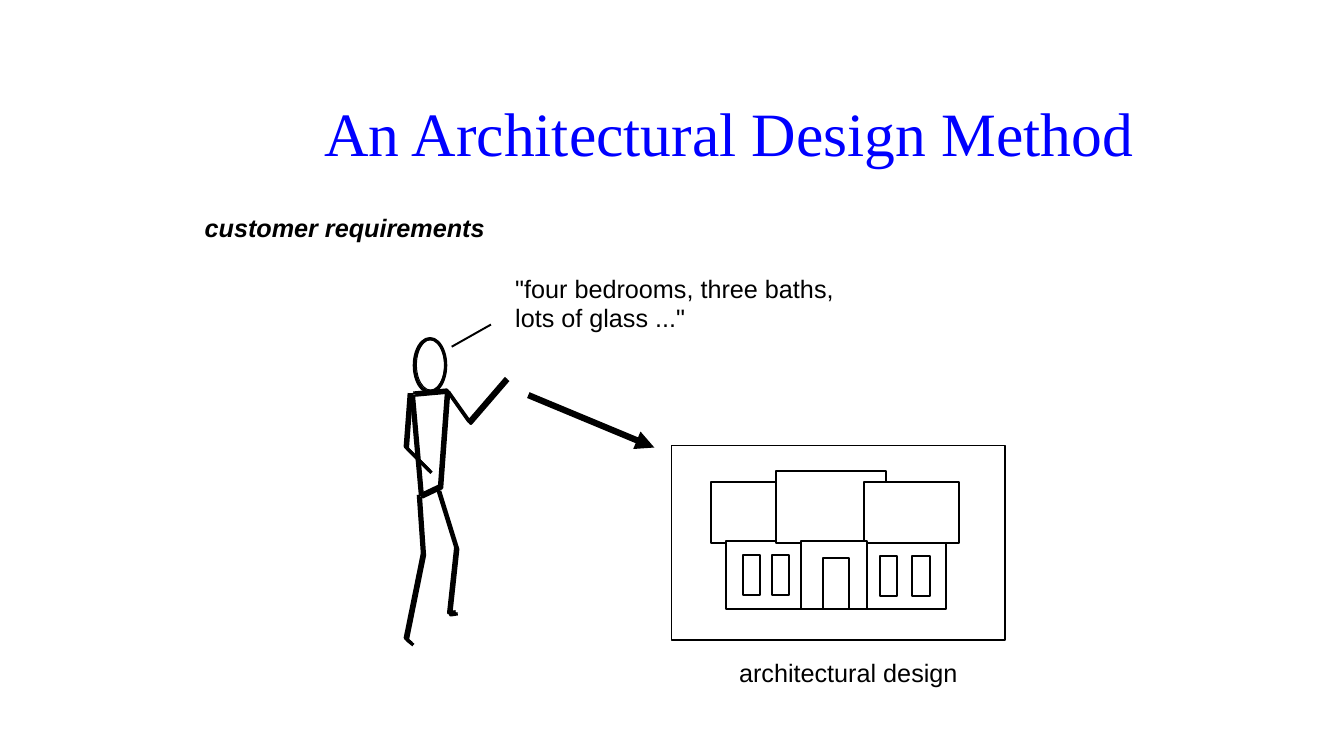
from lxml import etree
from pptx import Presentation
from pptx.dml.color import RGBColor
from pptx.enum import shapes, text
from pptx.oxml import ns
from pptx.util import Inches, Pt

BLACK = RGBColor(0, 0, 0)
WHITE = RGBColor(255, 255, 255)
BLUE = RGBColor(0, 0, 255)
THIN, BOLD, HEAVY = Pt(1.38), Pt(2.38), Pt(4.5)

presentation = Presentation()
presentation.slide_width = Inches(13.33)
presentation.slide_height = Inches(7.5)
slide = presentation.slides.add_slide(presentation.slide_layouts[6])


def style_shape(shape, width, filled):
    shape.shadow.inherit = False
    if filled:
        shape.fill.solid()
        shape.fill.fore_color.rgb = WHITE
    else:
        shape.fill.background()
    shape.line.color.rgb = BLACK
    shape.line.width = width


def add_line(start, end, width):
    line = slide.shapes.add_connector(
        shapes.MSO_CONNECTOR.STRAIGHT, *map(Inches, start + end))
    line.line.color.rgb = BLACK
    line.line.width = width
    etree.SubElement(line._element.spPr, ns.qn("a:effectLst"))
    return line


# Title
title = slide.shapes.add_textbox(
    Inches(1.44), Inches(0.68), Inches(11.59), Inches(1.25))
title.text_frame.word_wrap = True
title.text_frame.vertical_anchor = text.MSO_ANCHOR.MIDDLE
paragraph = title.text_frame.paragraphs[0]
paragraph.alignment = text.PP_ALIGN.CENTER
run = paragraph.add_run()
run.text = "An Architectural Design Method"
run.font.name = "Times New Roman"
run.font.size = Pt(44)
run.font.color.rgb = BLUE

# Labels: left, top, width, wording, emphasis
labels = [
    (5.11, 2.75, 3.19, '"four bedrooms, three baths,', False),
    (5.11, 3.03, 1.7, 'lots of glass ..."', False),
    (2.03, 2.14, 2.8, "customer requirements", True),
    (7.33, 6.56, 2.19, "architectural design", False),
]
for left, top, width, wording, emphasis in labels:
    label = slide.shapes.add_textbox(
        Inches(left), Inches(top), Inches(width), Inches(0.27))
    frame = label.text_frame
    frame.margin_left = frame.margin_right = 0
    frame.margin_top = frame.margin_bottom = 0
    frame.word_wrap = False
    frame.auto_size = text.MSO_AUTO_SIZE.SHAPE_TO_FIT_TEXT
    paragraph = frame.paragraphs[0]
    paragraph.line_spacing = 0.9
    run = paragraph.add_run()
    run.text = wording
    run.font.name = "Arial"
    run.font.size = Pt(18)
    run.font.color.rgb = BLACK
    if emphasis:
        run.font.bold = run.font.italic = True

# Customer's head: white face inside a bold outline
for left, top, width, height, weight, filled in [
        (4.13, 3.37, 0.28, 0.5, Pt(0.75), True),
        (4.11, 3.36, 0.31, 0.53, BOLD, False)]:
    head = slide.shapes.add_shape(
        shapes.MSO_SHAPE.OVAL,
        Inches(left), Inches(top), Inches(width), Inches(height))
    style_shape(head, weight, filled)

# Customer's body: each stroke drawn twice, slightly offset, to thicken it
body_strokes = [
    [(4.1, 3.9), (4.43, 3.87), (4.36, 4.82), (4.17, 4.91), (4.08, 3.9)],
    [(4.43, 3.87), (4.65, 4.18), (5.02, 3.75)],
    [(4.06, 3.9), (4.02, 4.43), (4.26, 4.67)],
    [(4.34, 4.85), (4.52, 5.43), (4.45, 6.08), (4.52, 6.07)],
    [(4.15, 4.91), (4.19, 5.49), (4.02, 6.33), (4.08, 6.38)],
]
for stroke in body_strokes:
    for offset in (0.02, 0):
        points = [(Inches(x + offset), Inches(y + offset)) for x, y in stroke]
        builder = slide.shapes.build_freeform(*points[0])
        builder.add_line_segments(points[1:], close=False)
        style_shape(builder.convert_to_shape(), BOLD, False)

# Speech line
add_line((4.48, 3.44), (4.87, 3.22), THIN)

# Architectural drawing, back to front
house_parts = [
    (6.66, 4.42, 3.31, 1.93),  # frame
    (7.05, 4.78, 0.66, 0.61),  # left roof
    (7.2, 5.37, 2.18, 0.67),   # wall
    (7.7, 4.67, 1.09, 0.72),   # middle roof
    (8.57, 4.78, 0.94, 0.61),  # right roof
    (7.94, 5.37, 0.66, 0.67),  # porch
    (8.16, 5.54, 0.26, 0.5),   # door
]
windows = [(left, top, 0.17, 0.39) for left, top in
           [(7.37, 5.51), (7.66, 5.51), (8.73, 5.52), (9.05, 5.52)]]
for part in house_parts + windows:
    rectangle = slide.shapes.add_shape(
        shapes.MSO_SHAPE.RECTANGLE, *map(Inches, part))
    style_shape(rectangle, THIN, True)

# Arrow from customer to design
arrow = add_line((5.24, 3.92), (6.49, 4.44), HEAVY)
etree.SubElement(arrow.line._get_or_add_ln(), ns.qn("a:tailEnd"), type="triangle")

presentation.save("out.pptx")
